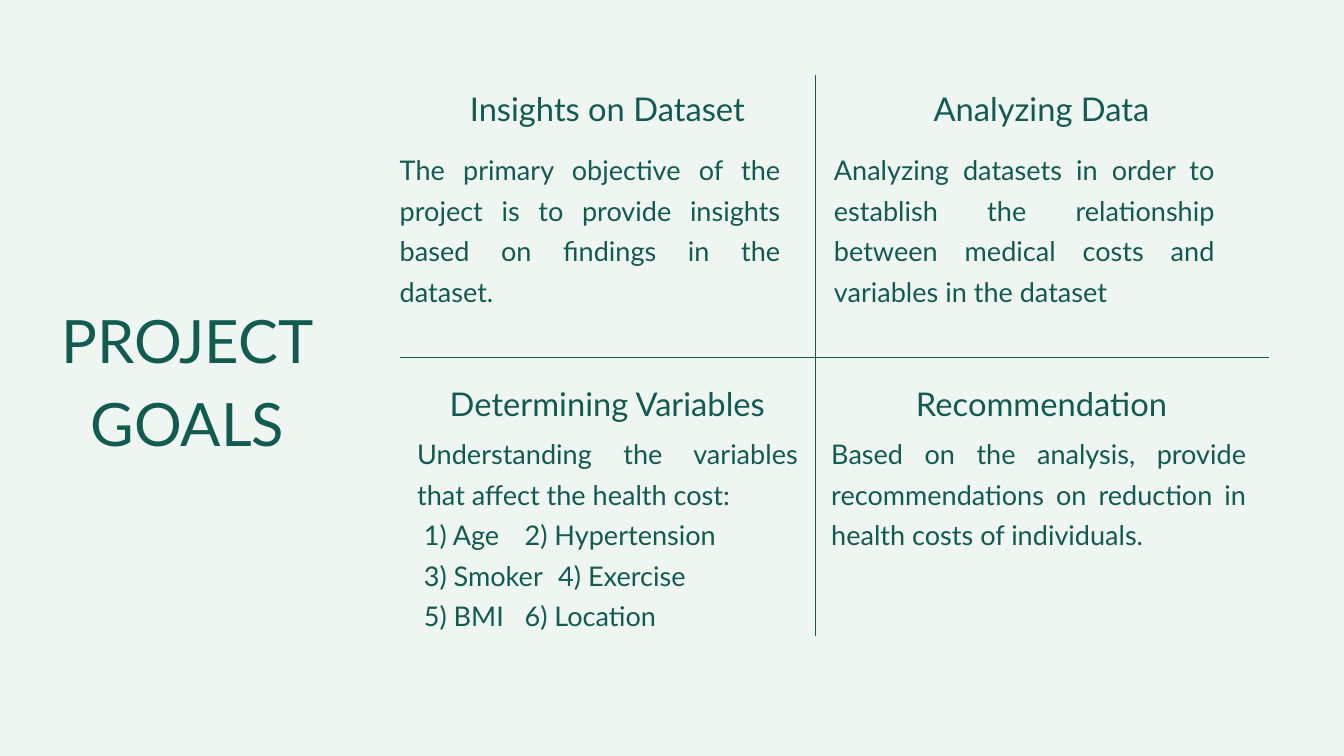
from lxml import etree
from pptx import Presentation
from pptx.dml.color import RGBColor
from pptx.enum.shapes import MSO_CONNECTOR
from pptx.enum.text import PP_ALIGN
from pptx.oxml.ns import qn
from pptx.util import Cm, Pt

CENTER, JUSTIFY, LEFT = PP_ALIGN.CENTER, PP_ALIGN.JUSTIFY, PP_ALIGN.LEFT
STRAIGHT = MSO_CONNECTOR.STRAIGHT
FONT, GREEN, PALE = "Lato", "125B50", "EFF6F2"

TITLE = ["PROJECT", "GOALS"]
# column, row, heading, body left, body width, body paragraphs
GOALS = [
    (0, 0, "Insights on Dataset", 15.11, 14.4,
     ["The primary objective of the project is to provide insights "
      "based on findings in the dataset."]),
    (1, 0, "Analyzing Data", 31.52, 14.4,
     ["Analyzing datasets in order to establish the relationship "
      "between medical costs and variables in the dataset"]),
    (0, 1, "Determining Variables", 15.77, 14.4,
     ["Understanding the variables that affect the health cost:"]),
    (1, 1, "Recommendation", 31.42, 15.7,
     ["Based on the analysis, provide recommendations on reduction in "
      "health costs of individuals."]),
]
VARIABLES = [("1) Age", "2) Hypertension"),
             ("3) Smoker", "4) Exercise"),
             ("5) BMI", "6) Location")]

COLUMN_X = (15.11, 31.52)
HEADING_Y = (3.12, 14.27)
BODY_Y = (5.49, 16.23)
HEADING_W, HEADING_H = 15.7, 1.65
BODY_H = (5.97, 7.47)
DIVIDERS = [(15.11, 13.51, 47.96, 13.51), (30.81, 2.84, 30.81, 24.03)]
VARIABLE_INDENT, VARIABLE_TAB = 0.25, 5.75


def rgb(color):
    return RGBColor.from_string(color)


def add_text(s, x, y, w, h, lines, size, spacing, align):
    tf = s.shapes.add_textbox(Cm(x), Cm(y), Cm(w), Cm(h)).text_frame
    tf.word_wrap = True
    tf.margin_left = tf.margin_right = tf.margin_top = tf.margin_bottom = 0
    for i, line in enumerate(lines):
        p = tf.add_paragraph() if i else tf.paragraphs[0]
        p.text = line
        p.alignment = align
        p.line_spacing = Pt(spacing)
        p.font.name = FONT
        p.font.size = Pt(size)
        p.font.color.rgb = rgb(GREEN)
    return tf


def set_two_columns(p):
    """Indent the paragraph and give it a tab stop for its second entry."""
    p.alignment = LEFT
    pPr = p._p.get_or_add_pPr()
    pPr.set("marL", str(Cm(VARIABLE_INDENT)))
    pPr.set("indent", "0")
    tabs = etree.Element(qn("a:tabLst"))
    etree.SubElement(tabs, qn("a:tab"), pos=str(Cm(VARIABLE_TAB)), algn="l")
    pPr.find(qn("a:defRPr")).addprevious(tabs)


def add_divider(s, x1, y1, x2, y2):
    line = s.shapes.add_connector(STRAIGHT, Cm(x1), Cm(y1), Cm(x2), Cm(y2))
    line.line.color.rgb = rgb(GREEN)
    line.line.width = Pt(0.75)
    etree.SubElement(line._element.spPr, qn("a:effectLst"))


def main():
    prs = Presentation()
    prs.slide_width, prs.slide_height = Cm(50.8), Cm(28.575)
    s = prs.slides.add_slide(prs.slide_layouts[6])
    s.background.fill.solid()
    s.background.fill.fore_color.rgb = rgb(PALE)

    add_text(s, 1.93, 11.02, 10.31, 6.2, TITLE, 64, 89.6, CENTER)
    for divider in DIVIDERS:
        add_divider(s, *divider)

    variable_lines = ["\t".join(pair) for pair in VARIABLES]
    for col, row, heading, x, w, body in GOALS:
        add_text(s, COLUMN_X[col], HEADING_Y[row], HEADING_W, HEADING_H,
                 [heading], 35, 49, CENTER)
        has_variables = (col, row) == (0, 1)
        lines = body + variable_lines if has_variables else body
        tf = add_text(s, x, BODY_Y[row], w, BODY_H[has_variables],
                      lines, 29, 43.5, JUSTIFY)
        for p in tf.paragraphs[len(body):]:
            set_two_columns(p)

    prs.save("out.pptx")


if __name__ == "__main__":
    main()
